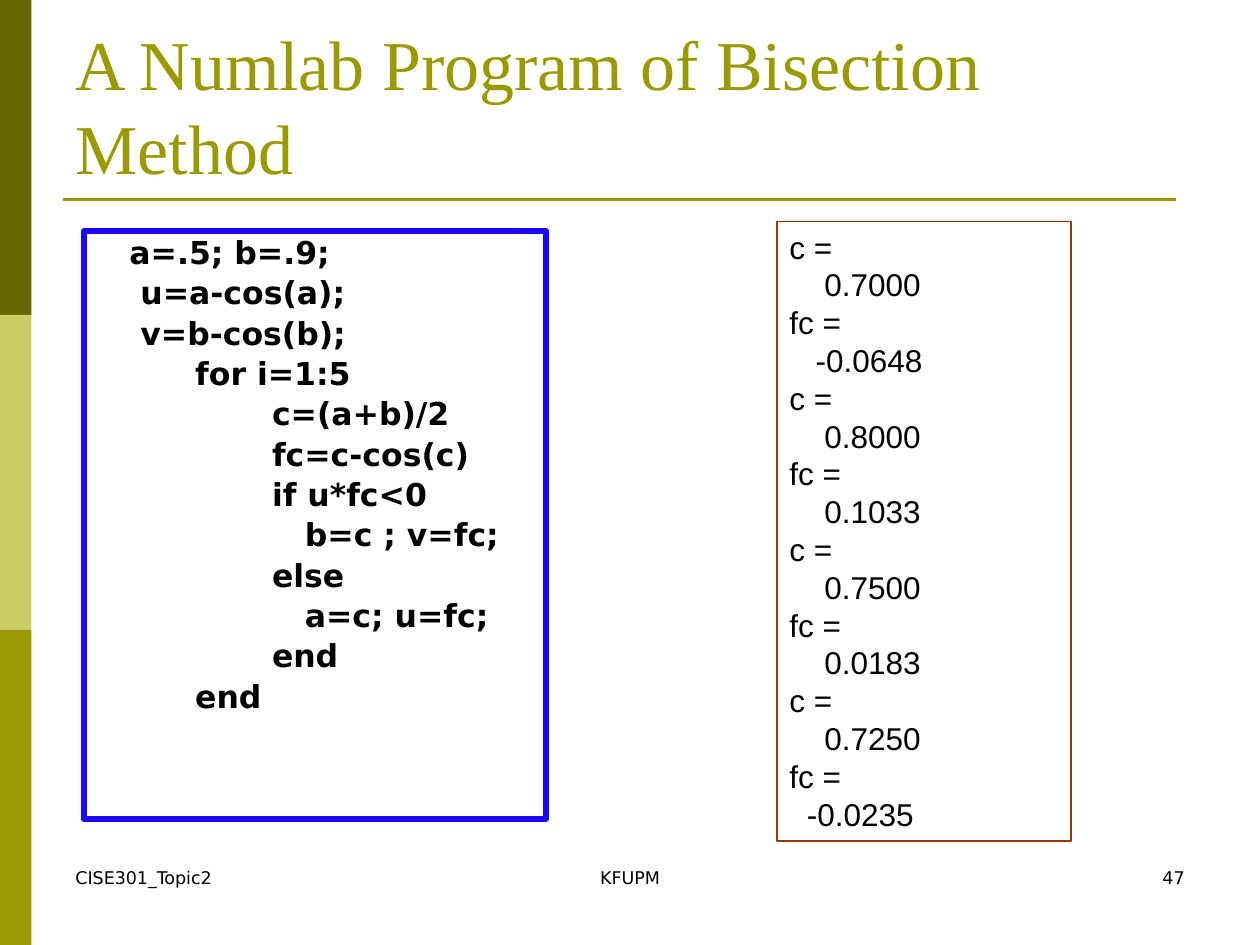
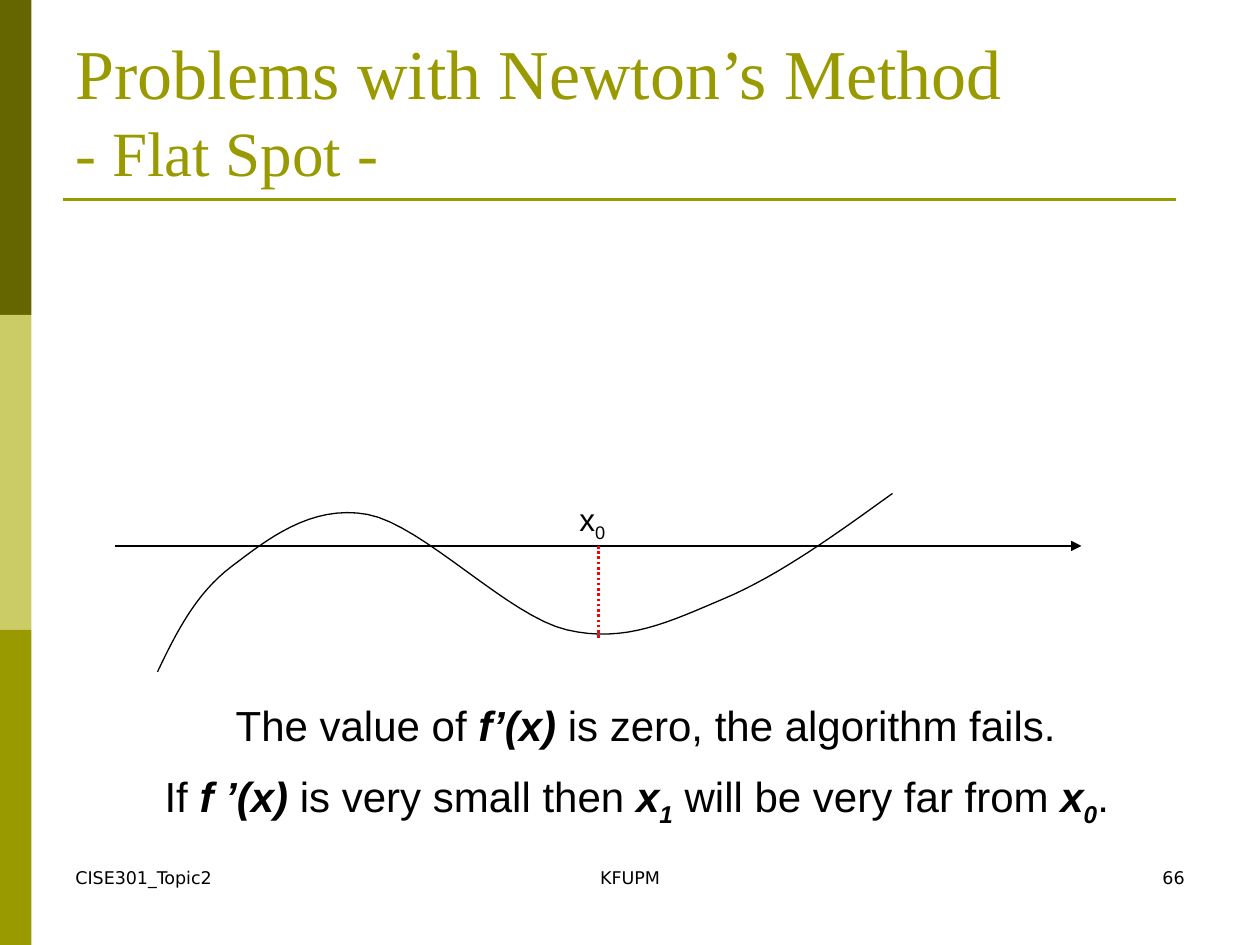
import dataclasses
import typing

import lxml.etree
import pptx
import pptx.dml.color
import pptx.enum.dml
import pptx.enum.shapes
import pptx.enum.text
import pptx.oxml.ns
import pptx.util

EMU_PER_PX = 7620  # 120 px to the inch
ALIGN = pptx.enum.text.PP_ALIGN


@dataclasses.dataclass(frozen=True)
class Theme:
    dark_olive: str = "666600"
    pale_olive: str = "CCCC66"
    olive: str = "999900"
    ink: str = "000000"
    code_border: str = "1908F8"
    output_border: str = "993300"
    marker: str = "FF0000"
    title_font: str = "Times New Roman"
    code_font: str = "DejaVu Sans"
    text_font: str = "Arial"
    title_size: int = 40
    subtitle_size: int = 36
    remark_size: int = 24
    text_size: int = 18
    footer_size: int = 10


THEME = Theme()


class Box(typing.NamedTuple):
    left: int
    top: int
    width: int
    height: int

    def emu(self) -> list[int]:
        return [px(length) for length in self]


class Point(typing.NamedTuple):
    x: float
    y: float


class Span(typing.NamedTuple):
    text: str
    strong: bool = False
    subscript: bool = False


class FooterPart(typing.NamedTuple):
    text: str
    box: Box
    align: ALIGN


TITLE_BOX = Box(60, 36, 1080, 150)
BAND_COLOURS = (THEME.dark_olive, THEME.pale_olive, THEME.olive)
BAND_WIDTH, BAND_HEIGHT = 30, 300

CODE = """\
   a=.5; b=.9;
    u=a-cos(a);
    v=b-cos(b);
         for i=1:5
                c=(a+b)/2
                fc=c-cos(c)
                if u*fc<0
                   b=c ; v=fc;
                else
                   a=c; u=fc;
                end
         end"""

PROGRAM_OUTPUT = """\
c =
    0.7000
fc =
   -0.0648
c =
    0.8000
fc =
    0.1033
c =
    0.7500
fc =
    0.0183
c =
    0.7250
fc =
  -0.0235"""

REMARKS = (
    (Span("The value of "), Span("f’(x)", True), Span(" is zero, the algorithm fails.")),
    (Span("If "), Span("f ’(x)", True), Span(" is very small then "), Span("x", True),
     Span("1", True, True), Span(" will be very far from "), Span("x", True),
     Span("0", True, True), Span(".")),
)

CURVE_START = Point(150, 640)
CURVE_PIECES = (
    (Point(168, 602), Point(187, 565), Point(220, 540)),
    (Point(253, 515), Point(296, 480), Point(350, 490)),
    (Point(403, 500), Point(484, 587), Point(540, 600)),
    (Point(596, 613), Point(638, 592), Point(690, 570)),
    (Point(742, 548), Point(796, 509), Point(850, 470)),
)
STEPS_PER_PIECE = 16


def px(length: float) -> int:
    return round(length * EMU_PER_PX)


def rgb(colour: str) -> pptx.dml.color.RGBColor:
    return pptx.dml.color.RGBColor.from_string(colour)


def format_font(font, name: str, size: int, colour: str = THEME.ink, bold: bool = False) -> None:
    font.name = name
    font.size = pptx.util.Pt(size)
    font.bold = bold
    font.color.rgb = rgb(colour)


def format_runs(frame, name: str, size: int, colour: str = THEME.ink, bold: bool = False) -> None:
    for paragraph in frame.paragraphs:
        for run in paragraph.runs:
            format_font(run.font, name, size, colour, bold)


def place(shape, box: Box) -> None:
    shape.left, shape.top, shape.width, shape.height = box.emu()


def set_border(shape, colour: str, width: float) -> None:
    shape.line.color.rgb = rgb(colour)
    shape.line.width = pptx.util.Pt(width)


def add_text_box(slide, box: Box, wrap: bool = True):
    text_box = slide.shapes.add_textbox(*box.emu())
    text_box.text_frame.word_wrap = wrap
    return text_box


def add_line(slide, start: Point, end: Point, colour: str, width: float):
    line = slide.shapes.add_connector(
        pptx.enum.shapes.MSO_CONNECTOR.STRAIGHT, px(start.x), px(start.y), px(end.x), px(end.y))
    set_border(line, colour, width)
    lxml.etree.SubElement(line._element.spPr, pptx.oxml.ns.qn("a:effectLst"))
    return line


def add_spans(paragraph, spans: typing.Iterable[Span], size: int) -> None:
    for span in spans:
        run = paragraph.add_run()
        run.text = span.text
        format_font(run.font, THEME.text_font, size, bold=span.strong)
        run.font.italic = span.strong
        if span.subscript:
            run._r.get_or_add_rPr().set("baseline", "-25000")


def add_bands(slide) -> None:
    for row, colour in enumerate(BAND_COLOURS):
        band_box = Box(0, row * BAND_HEIGHT, BAND_WIDTH, BAND_HEIGHT)
        band = slide.shapes.add_shape(pptx.enum.shapes.MSO_SHAPE.RECTANGLE, *band_box.emu())
        band.shadow.inherit = False
        band.fill.solid()
        band.fill.fore_color.rgb = rgb(colour)
        band.line.fill.background()


def add_footer(slide, number: int) -> None:
    parts = (
        FooterPart("CISE301_Topic2", Box(60, 820, 280, 60), ALIGN.LEFT),
        FooterPart("KFUPM", Box(410, 820, 380, 60), ALIGN.CENTER),
        FooterPart(str(number), Box(860, 820, 280, 60), ALIGN.RIGHT),
    )
    for part in parts:
        frame = add_text_box(slide, part.box).text_frame
        frame.text = part.text
        frame.paragraphs[0].alignment = part.align
        format_runs(frame, THEME.code_font, THEME.footer_size)


def add_slide(deck, layout_name: str, title: str, number: int):
    """Add a slide with the shared bands, title, rule and footer."""
    slide = deck.slides.add_slide(deck.slide_layouts.get_by_name(layout_name))
    add_bands(slide)
    add_line(slide, Point(60, 190), Point(1120, 190), THEME.olive, 1.5)
    add_footer(slide, number)
    heading = slide.shapes.title
    place(heading, TITLE_BOX)
    frame = heading.text_frame
    frame.text = title
    frame.auto_size = pptx.enum.text.MSO_AUTO_SIZE.NONE
    frame.vertical_anchor = pptx.enum.text.MSO_ANCHOR.BOTTOM
    frame.paragraphs[0].alignment = ALIGN.LEFT
    format_runs(frame, THEME.title_font, THEME.title_size, THEME.olive)
    return slide


def fill_code(listing) -> None:
    place(listing, Box(80, 220, 440, 560))
    set_border(listing, THEME.code_border, 3)
    frame = listing.text_frame
    frame.text = CODE
    frame.auto_size = pptx.enum.text.MSO_AUTO_SIZE.NONE
    for row, paragraph in enumerate(frame.paragraphs):
        properties = paragraph._p.get_or_add_pPr()
        properties.set("marL", str(px(45)))
        properties.set("indent", str(px(-45)))
        lxml.etree.SubElement(properties, pptx.oxml.ns.qn("a:buNone"))
        paragraph.line_spacing = 0.9
        paragraph.space_before = pptx.util.Pt(3.6 if row else 0)
    format_runs(frame, THEME.code_font, THEME.text_size, bold=True)


def build_bisection_slide(deck) -> None:
    slide = add_slide(deck, "Title and Content", "A Numlab Program of Bisection Method", 47)
    fill_code(slide.placeholders[1])
    output = add_text_box(slide, Box(740, 211, 280, 590))
    set_border(output, THEME.output_border, 0.75)
    output.text_frame.text = PROGRAM_OUTPUT
    output.text_frame.auto_size = pptx.enum.text.MSO_AUTO_SIZE.SHAPE_TO_FIT_TEXT
    format_runs(output.text_frame, THEME.text_font, THEME.text_size)


def curve_points() -> typing.Iterator[tuple[int, int]]:
    """Yield points in EMU along the cubic pieces, after the start."""
    start = CURVE_START
    for first, second, end in CURVE_PIECES:
        for step in range(1, STEPS_PER_PIECE + 1):
            t = step / STEPS_PER_PIECE
            weights = ((1 - t) ** 3, 3 * t * (1 - t) ** 2, 3 * t ** 2 * (1 - t), t ** 3)
            corners = (start, first, second, end)
            yield (px(sum(w * p.x for w, p in zip(weights, corners))),
                   px(sum(w * p.y for w, p in zip(weights, corners))))
        start = end


def add_curve(slide) -> None:
    builder = slide.shapes.build_freeform(px(CURVE_START.x), px(CURVE_START.y), scale=1.0)
    builder.add_line_segments(list(curve_points()), close=False)
    curve = builder.convert_to_shape()
    curve.shadow.inherit = False
    curve.fill.background()
    set_border(curve, THEME.ink, 0.75)


def add_remarks(slide) -> None:
    frame = add_text_box(slide, Box(110, 660, 1010, 132)).text_frame
    paragraphs = (frame.paragraphs[0], frame.add_paragraph())
    for paragraph, spans in zip(paragraphs, REMARKS):
        paragraph.alignment = ALIGN.CENTER
        add_spans(paragraph, spans, THEME.remark_size)
    paragraphs[1].space_before = pptx.util.Pt(12)
    paragraphs[1]._p.get_or_add_pPr().set("marR", str(px(17)))


def build_flat_spot_slide(deck) -> None:
    slide = add_slide(deck, "Title Only", "Problems with Newton’s Method\v- Flat Spot -", 66)
    subtitle = slide.shapes.title.text_frame.paragraphs[0].runs[1]
    subtitle.font.size = pptx.util.Pt(THEME.subtitle_size)
    add_remarks(slide)

    x_axis = add_line(slide, Point(110, 520), Point(1030, 520), THEME.ink, 0.75)
    lxml.etree.SubElement(x_axis.line._get_or_add_ln(), pptx.oxml.ns.qn("a:tailEnd"), type="triangle")
    flat_spot = add_line(slide, Point(570, 520), Point(570, 610), THEME.marker, 1.5)
    flat_spot.line.dash_style = pptx.enum.dml.MSO_LINE.ROUND_DOT

    x0_label = add_text_box(slide, Box(540, 470, 50, 48), wrap=False)
    add_spans(x0_label.text_frame.paragraphs[0],
              (Span("x"), Span("0", subscript=True)), THEME.text_size)
    add_curve(slide)


def main() -> None:
    deck = pptx.Presentation()
    deck.slide_width, deck.slide_height = px(1200), px(900)
    build_bisection_slide(deck)
    build_flat_spot_slide(deck)
    deck.save("out.pptx")


if __name__ == "__main__":
    main()
